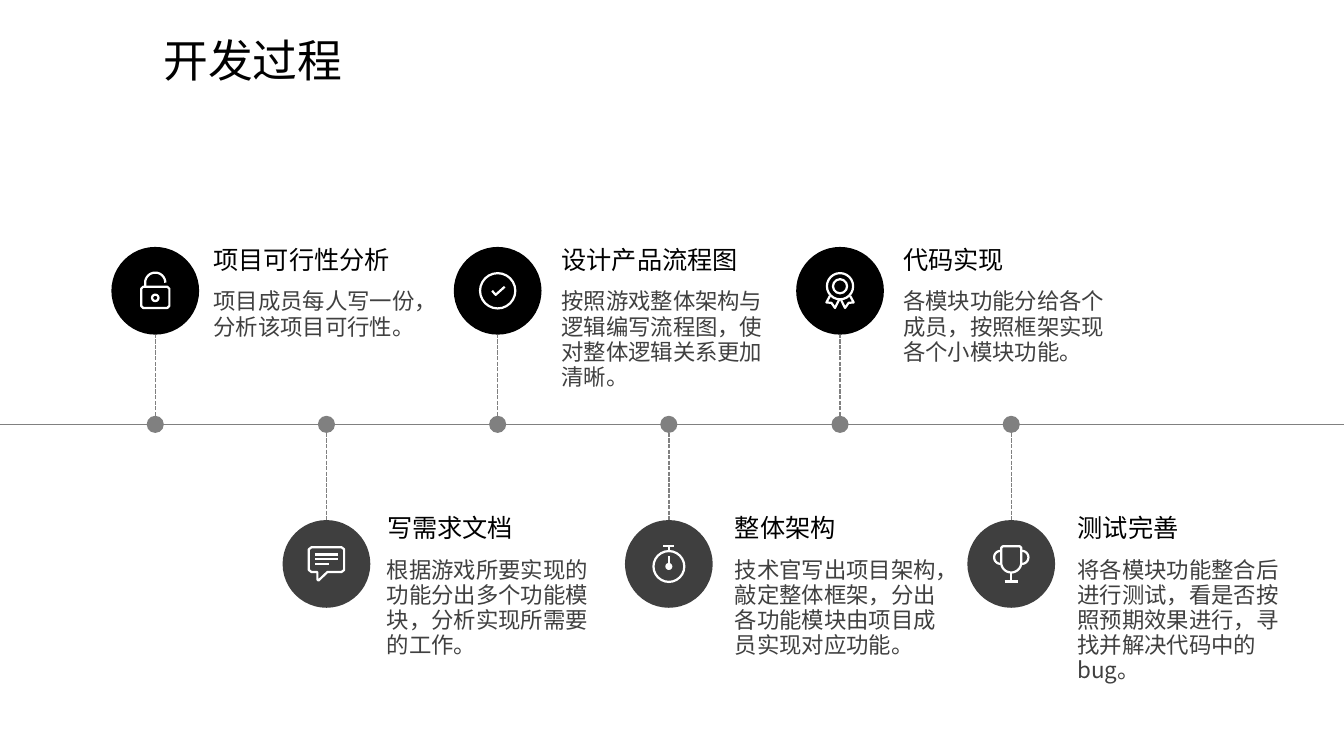
"""Build the development process timeline slide."""
import math

from lxml import etree
from pptx import Presentation
from pptx import util as u
from pptx.dml.color import RGBColor
from pptx.enum import dml, shapes, text
from pptx.oxml import ns

BLACK = RGBColor(0x00, 0x00, 0x00)
CHARCOAL = RGBColor(0x3F, 0x3F, 0x3F)
BODY_GREY = RGBColor(0x40, 0x40, 0x40)
LINE_GREY = RGBColor(0x80, 0x80, 0x80)
WHITE = RGBColor(0xFF, 0xFF, 0xFF)
FONT = "Noto Sans CJK SC"
WIDTH, HEIGHT = 13.33, 7.5
FIRST, COLUMN = 1.54, 1.698
AXIS, NODE, DISC = 4.21, 0.085, 0.435
UNIT, STROKE = 0.01, 1.6

deck = Presentation()
deck.slide_width, deck.slide_height = u.Inches(WIDTH), u.Inches(HEIGHT)
page = deck.slides.add_slide(deck.slide_layouts[5])


def add_line(x1, y1, x2, y2, color, width):
    line = page.shapes.add_connector(shapes.MSO_CONNECTOR.STRAIGHT,
                                     *map(u.Inches, (x1, y1, x2, y2)))
    line.line.color.rgb, line.line.width = color, u.Pt(width)
    etree.SubElement(line._element.spPr, ns.qn("a:effectLst"))
    return line


def add_disc(x, y, radius, fill=None):
    disc = page.shapes.add_shape(
        shapes.MSO_SHAPE.OVAL,
        *map(u.Inches, (x - radius, y - radius, 2 * radius, 2 * radius)))
    disc.shadow.inherit = False
    if fill is None:
        disc.fill.background()
        disc.line.color.rgb, disc.line.width = WHITE, u.Pt(STROKE)
    else:
        disc.fill.solid()
        disc.fill.fore_color.rgb = fill
        disc.line.fill.background()


half_turn = [(math.cos(math.pi * k / 16), math.sin(math.pi * k / 16)) for k in range(17)]
shackle = [(-10, -4)] + [(-10 * c, -8 - 10 * s) for c, s in half_turn]
lock_body = [(-12, -4), (12, -4), (14, -2), (14, 15), (12, 17),
             (-12, 17), (-14, 15), (-14, -2), (-12, -4)]
bubble = [(-15, -16.5), (15, -16.5), (17.5, -14.5), (17.5, 6), (15, 8), (1, 8),
          (-8, 16.5), (-9, 15.5), (-9, 8), (-15, 8), (-17.5, 6),
          (-17.5, -14.5), (-15, -16.5)]
ribbon = [(10, 5), (13.5, 11.5), (8.5, 12), (5, 17), (1, 9)]
handle = [(10.5 + 6.5 * s, -6.5 - 6.5 * c) for c, s in half_turn]
cup = ([(-10, -16), (-8.5, -17.5), (8.5, -17.5), (10, -16)]
       + [(10 * c, -1.5 + 10 * s) for c, s in half_turn] + [(-10, -16)])

icons = [
    {"rings": [(0, 7, 3.2)], "paths": [lock_body, shackle]},
    {"paths": [bubble, [(-11, -9.5), (11, -9.5)], [(-11, -5), (11, -5)],
               [(-11, 0), (3, 0)]]},
    {"rings": [(0, 0, 17.5)], "paths": [[(-5.5, 0), (-2, 4), (7, -4)]]},
    {"rings": [(0, 2.5, 15.3)], "dots": [(0, 2.5, 3.5)],
     "paths": [[(-5.5, -17.5), (5.5, -17.5)], [(0, -17.5), (0, -13)],
               [(0, -7.5), (0, 2.5)]]},
    {"rings": [(0, -4.5, 13), (0, -4.5, 7)],
     "paths": [ribbon, [(-x, y) for x, y in ribbon]]},
    {"paths": [cup, handle, [(-x, y) for x, y in handle],
               [(0, 8.5), (0, 17.5)], [(-6.5, 17.5), (6.5, 17.5)]]},
]
steps = [
    (2.02, 2, "项目可行性分析", "项目成员每人写一份，分析该项目可行性。"),
    (3.74, 4, "写需求文档", "根据游戏所要实现的功能分出多个功能模块，分析实现所需要的工作。"),
    (5.47, 4, "设计产品流程图", "按照游戏整体架构与逻辑编写流程图，使对整体逻辑关系更加清晰。"),
    (7.19, 4, "整体架构", "技术官写出项目架构，敲定整体框架，分出各功能模块由项目成员实现对应功能。"),
    (8.86, 3, "代码实现", "各模块功能分给各个成员，按照框架实现各个小模块功能。"),
    (10.59, 5, "测试完善",
     "将各模块功能整合后进行测试，看是否按照预期效果进行，寻找并解决代码中的bug。"),
]

title = page.shapes.title
title.left, title.top, title.width, title.height = map(u.Inches, (1.52, 0.27, 7.78, 0.64))
writings = [(title, "开发过程", 32, BLACK, None, True)]

add_line(0, AXIS, WIDTH, AXIS, LINE_GREY, 0.5)
for index, (step, icon) in enumerate(zip(steps, icons)):
    left, rows, heading, detail = step
    below = index % 2
    x = FIRST + index * COLUMN
    y = 5.595 if below else 2.885
    side = 1 if below else -1
    stem = add_line(x, AXIS + side * NODE, x, y - side * DISC, LINE_GREY, 1)
    stem.line.dash_style = dml.MSO_LINE.SQUARE_DOT
    add_disc(x, AXIS, NODE, LINE_GREY)
    add_disc(x, y, DISC, CHARCOAL if below else BLACK)

    for kind, fill in (("rings", None), ("dots", WHITE)):
        for dx, dy, radius in icon.get(kind, []):
            add_disc(x + dx * UNIT, y + dy * UNIT, radius * UNIT, fill)
    for path in icon["paths"]:
        points = [(x + dx * UNIT, y + dy * UNIT) for dx, dy in path]
        if len(points) == 2:
            add_line(*points[0], *points[1], WHITE, STROKE)
            continue
        corners = [(u.Inches(px), u.Inches(py)) for px, py in points]
        builder = page.shapes.build_freeform(*corners[0])
        builder.add_line_segments(corners[1:], close=path[0] == path[-1])
        outline = builder.convert_to_shape()
        outline.shadow.inherit = False
        outline.fill.background()
        outline.line.color.rgb, outline.line.width = WHITE, u.Pt(STROKE)

    top = 5.03 if below else 2.37
    for offset, width, height, words, size, color, spacing, wrap in (
            (0, 0.2 + 0.253 * len(heading), 0.4, heading, 18, BLACK, None, False),
            (0.45, 2.24, 0.11 + 0.25 * rows, detail, 16, BODY_GREY, u.Pt(18), True)):
        box = page.shapes.add_textbox(*map(u.Inches, (left, top + offset, width, height)))
        writings.append((box, words, size, color, spacing, wrap))

for box, words, size, color, spacing, wrap in writings:
    frame = box.text_frame
    frame.word_wrap = wrap
    frame.auto_size = text.MSO_AUTO_SIZE.NONE
    frame.vertical_anchor = (text.MSO_ANCHOR.MIDDLE if box is writings[0][0]
                             else text.MSO_ANCHOR.TOP)
    para = frame.paragraphs[0]
    for name, value in {"alignment": text.PP_ALIGN.LEFT, "line_spacing": spacing}.items():
        setattr(para, name, value)
    span = para.add_run()
    span.text = words
    for name, value in {"name": FONT, "size": u.Pt(size)}.items():
        setattr(span.font, name, value)
    span.font.color.rgb = color
    etree.SubElement(span._r.get_or_add_rPr(), ns.qn("a:ea"), typeface=FONT)

deck.save("out.pptx")
